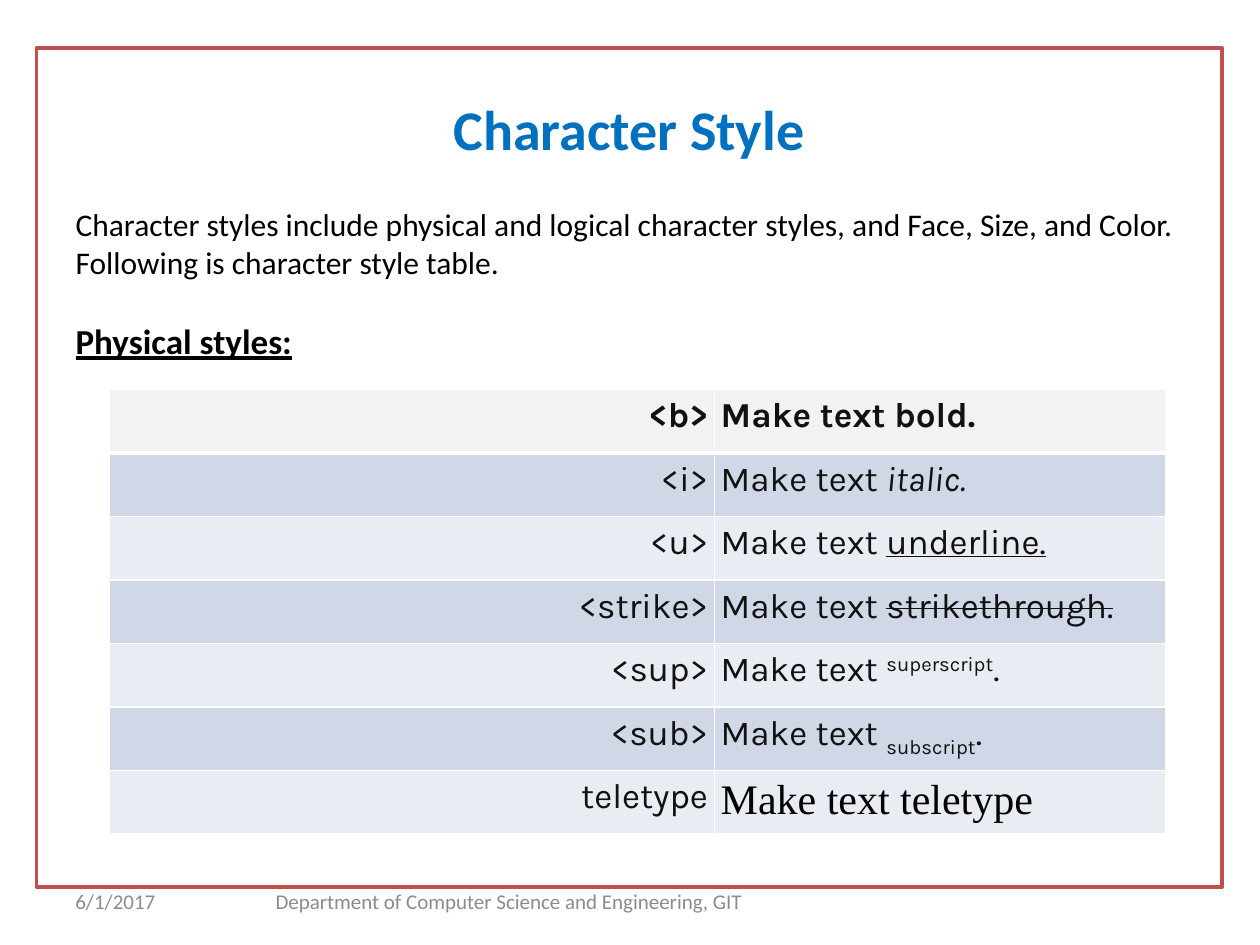
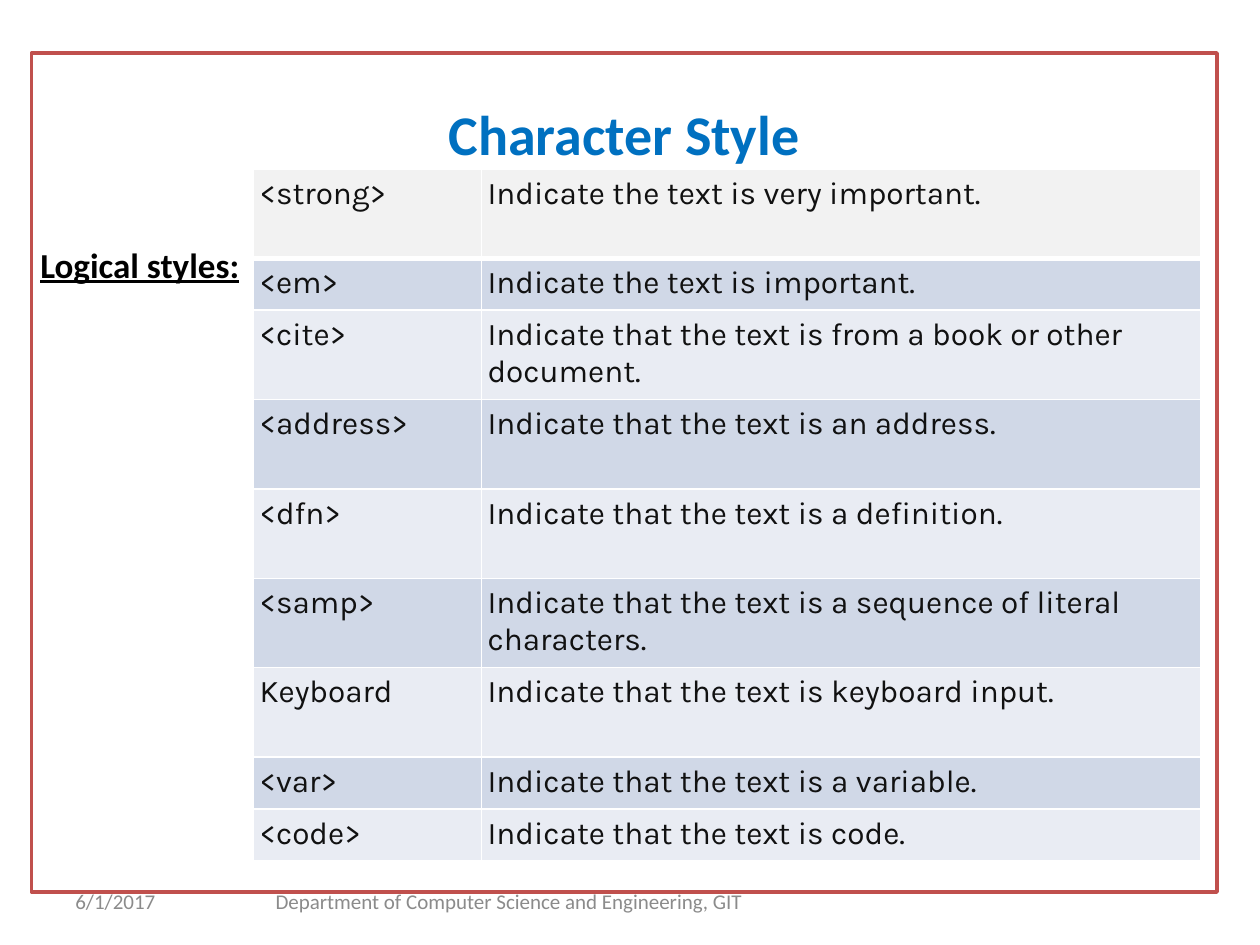
from lxml.etree import SubElement
from pptx import Presentation
from pptx.dml.color import RGBColor
from pptx.enum.text import MSO_ANCHOR, MSO_AUTO_SIZE, PP_ALIGN
from pptx.oxml.ns import qn
from pptx.util import Inches, Pt

COLORS = {
    "frame": "C0504D", "title": "0070C0", "page": "FFFFFF", "text": "000000",
    "footer": "8B8B8B", "cell_text": "111111", "header": "F2F2F2",
    "band_dark": "D0D8E7", "band_light": "E9ECF3",
}
BODY_FONT, TABLE_FONT = "Calibri", "Karla"
THIN, THICK = 0.96, 3
FRAME_SIZE = (9.41, 6.66)

# Each cell is a list of (text, style) spans
PLAIN = {}
MAKE_TEXT = ("Make text\u00a0", PLAIN)
PHYSICAL_STYLES = [
    ("<b>", [("Make text\u00a0bold.", PLAIN)]),
    ("<i>", [MAKE_TEXT, ("italic.", {"i": "1"})]),
    ("<u>", [("Make text ", PLAIN), ("underline.", {"u": "sng"})]),
    ("<strike>", [MAKE_TEXT, ("strikethrough.", {"strike": "sngStrike"})]),
    ("<sup>", [MAKE_TEXT, ("superscript", {"baseline": "30000"}), (".", PLAIN)]),
    ("<sub>", [MAKE_TEXT, ("subscript", {"baseline": "-25000"}), (".", PLAIN)]),
    ("teletype", [("Make text teletype", PLAIN)]),
]
LOGICAL_STYLES = [
    ("<strong>", "Indicate the text is very important."),
    ("<em>", "Indicate the text is important."),
    ("<cite>", "Indicate that the text is from a book or other document."),
    ("<address>", "Indicate that the text is an address."),
    ("<dfn>", "Indicate that the text is a definition."),
    ("<samp>", "Indicate that the text is a sequence of literal characters."),
    ("Keyboard", "Indicate that the text is keyboard input."),
    ("<var>", "Indicate that the text is a variable."),
    ("<code>", "Indicate that the text is code."),
]
SHORT_ROWS = ("<em>", "<var>", "<code>")


def rgb(name):
    return RGBColor.from_string(COLORS[name])


def set_font(para, size, color, name=BODY_FONT, bold=False):
    font = para.font
    font.name, font.size, font.bold = name, Pt(size), bold
    font.color.rgb = rgb(color)


def place(shape, left, top, width, height):
    shape.left, shape.top = Inches(left), Inches(top)
    shape.width, shape.height = Inches(width), Inches(height)


def add_framed_title(page, left, top):
    """The title placeholder spans the page and carries the frame."""
    title = page.shapes.title
    place(title, left, top, *FRAME_SIZE)
    title.fill.solid()
    title.fill.fore_color.rgb = rgb("page")
    title.line.color.rgb = rgb("frame")
    title.line.width = Pt(2)
    title.text_frame.text = "Character Style"
    title.text_frame.vertical_anchor = MSO_ANCHOR.TOP
    title.text_frame.auto_size = MSO_AUTO_SIZE.NONE
    para = title.text_frame.paragraphs[0]
    para.alignment = PP_ALIGN.CENTER
    para.line_spacing = 1.6
    set_font(para, 32, "title", bold=True)


def add_footer_text(page, text, left, width, alignment):
    box = page.shapes.add_textbox(Inches(left), Inches(6.95), Inches(width), Inches(0.4))
    frame = box.text_frame
    frame.word_wrap = True
    frame.vertical_anchor = MSO_ANCHOR.MIDDLE
    frame.text = text
    frame.paragraphs[0].alignment = alignment
    set_font(frame.paragraphs[0], 12, "footer")


def add_page(deck, frame_left, frame_top):
    page = deck.slides.add_slide(deck.slide_layouts[1])
    add_framed_title(page, frame_left, frame_top)
    add_footer_text(page, "Department of Computer Science and Engineering, GIT",
                    1.5, 5.08, PP_ALIGN.CENTER)
    add_footer_text(page, "6/1/2017", 0.5, 2.33, PP_ALIGN.LEFT)
    return page


def fill_body(page, position, heading, intro=()):
    """Unbulleted intro lines, then an underlined heading."""
    body = page.placeholders[1]
    place(body, *position)
    frame = body.text_frame
    frame.auto_size = MSO_AUTO_SIZE.NONE
    frame.text = "\n".join([*intro, heading])
    for para in frame.paragraphs:
        properties = para._p.get_or_add_pPr()
        properties.set("marL", "0")
        properties.set("indent", "0")
        para.space_before = Pt(0)
        SubElement(properties, qn("a:buNone"))
        set_font(para, 18, "text")
    last = frame.paragraphs[-1]
    set_font(last, 20, "text", bold=True)
    last.font.underline = True
    if intro:
        last.space_before = Pt(22)


def set_borders(cell, top, bottom):
    properties = cell._tc.get_or_add_tcPr()
    for side, width in (("L", THIN), ("R", THIN), ("T", top), ("B", bottom)):
        line = SubElement(properties, qn(f"a:ln{side}"), w=str(Pt(width)))
        fill = SubElement(line, qn("a:solidFill"))
        SubElement(fill, qn("a:srgbClr"), val=COLORS["page"])


def fill_cell(cell, spans, row, size, bold, alignment):
    set_borders(cell, THICK if row == 1 else THIN, THICK if row == 0 else THIN)
    band = "header" if row == 0 else "band_dark" if row % 2 else "band_light"
    cell.fill.solid()
    cell.fill.fore_color.rgb = rgb(band)
    cell.margin_left = cell.margin_right = Inches(0.05)
    cell.margin_top = cell.margin_bottom = Inches(0.05)
    para = cell.text_frame.paragraphs[0]
    para.alignment = alignment
    set_font(para, size, "cell_text", TABLE_FONT, bold)
    for text, style in spans:
        span = para.add_run()
        span.text = text
        # Explicit run fonts keep the table style from overriding them
        span.font.name, span.font.size, span.font.bold = TABLE_FONT, Pt(size), bold
        span.font.color.rgb = rgb("cell_text")
        for attribute, value in style.items():
            span._r.get_or_add_rPr().set(attribute, value)


def add_style_table(page, left, top, widths, heights, rows, size,
                    tag_alignment=PP_ALIGN.LEFT, bold_header=False):
    table = page.shapes.add_table(
        len(rows), len(widths), Inches(left), Inches(top),
        Inches(sum(widths)), Inches(sum(heights))).table
    for column, width in zip(table.columns, widths):
        column.width = Inches(width)
    for index, (tag, spans) in enumerate(rows):
        table.rows[index].height = Inches(heights[index])
        bold = bold_header and index == 0
        fill_cell(table.cell(index, 0), [(tag, PLAIN)], index, size, bold, tag_alignment)
        fill_cell(table.cell(index, 1), spans, index, size, bold, PP_ALIGN.LEFT)
    return table


def add_physical_page(deck):
    page = add_page(deck, 0.29, 0.38)
    fill_body(page, (0.5, 1.58, 9.33, 2.08), "Physical styles:", (
        "Character styles include physical and logical character styles, "
        "and Face, Size, and Color.",
        "Following is character style table."))
    count = len(PHYSICAL_STYLES)
    table = add_style_table(page, 0.87, 3.09, (4.8, 3.58), [3.53 / count] * count,
                            PHYSICAL_STYLES, 20, PP_ALIGN.RIGHT, bold_header=True)
    # The teletype sample has its own typeface
    sample = table.cell(count - 1, 1).text_frame.paragraphs[0].runs[0]
    sample.font.name, sample.font.size = "Times New Roman", Pt(24)
    sample.font.color.rgb = rgb("text")


def add_logical_page(deck):
    page = add_page(deck, 0.25, 0.42)
    fill_body(page, (0.22, 1.88, 9.33, 1.78), "Logical styles:")
    rows = [(tag, [(meaning, PLAIN)]) for tag, meaning in LOGICAL_STYLES]
    heights = [0.41 if tag in SHORT_ROWS else 0.71 for tag, _ in rows]
    add_style_table(page, 2.01, 1.34, (1.81, 5.71), heights, rows, 18)


def main():
    deck = Presentation()
    deck.slide_width, deck.slide_height = Inches(10), Inches(7.5)
    add_physical_page(deck)
    add_logical_page(deck)
    deck.save("out.pptx")


main()
